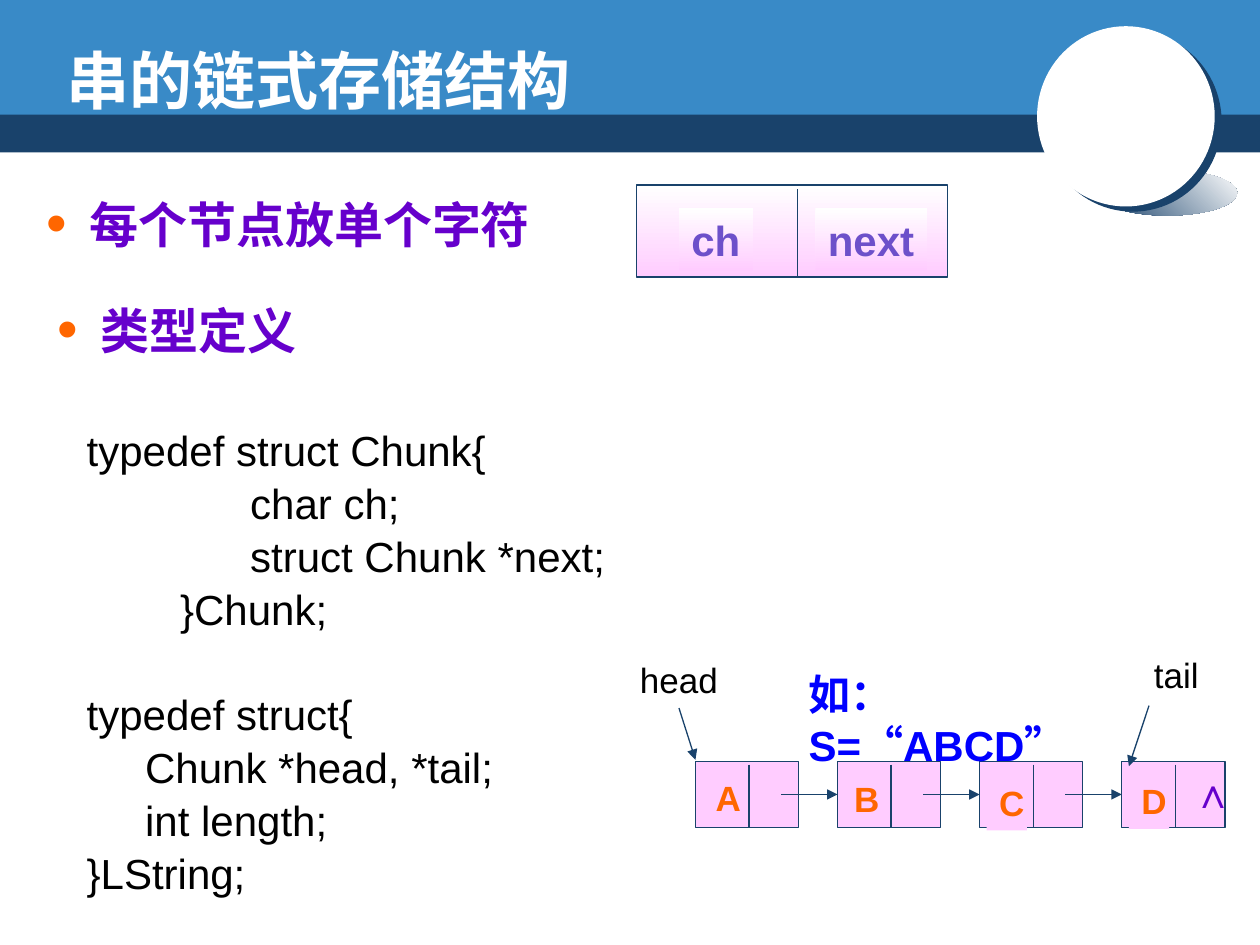
from lxml.etree import SubElement
from pptx import Presentation
from pptx.dml.color import RGBColor
from pptx.enum.shapes import MSO_CONNECTOR, MSO_SHAPE
from pptx.enum.text import MSO_ANCHOR, MSO_AUTO_SIZE, PP_ALIGN
from pptx.oxml.ns import qn
from pptx.util import Pt

# Content
TITLE = "串的链式存储结构"
POINTS = [("每个节点放单个字符", 24.6), ("类型定义", 31)]  # text, left margin
CODE = [  # text, indent, space before
    ("typedef struct Chunk{", 0, 0),
    ("char ch;", 93.4, 0),
    ("struct Chunk *next;", 93.4, 0),
    ("}Chunk;", 53.4, 0),
    ("typedef struct{", 0, 30),
    ("Chunk *head, *tail;", 33.4, 0),
    ("int length;", 33.4, 0),
    ("}LString;", 0, 0),
]
FIELDS = [("ch", 388, 42.5), ("next", 466, 64)]  # name, left, width
LETTERS = [("A", 401.8, 440), ("B", 481, 440.6), ("C", 563.8, 442.8), ("D", 645.1, 442)]
ENDS = [  # label, its box, arrow from, arrow to
    ("head", (358.6, 373, 59.8, 31.7), (388, 404.6), (397.4, 434.2)),
    ("tail", (652.3, 370, 40.3, 31.7), (656.6, 403.2), (645.1, 437.8)),
]
EXAMPLE = "如：\vS=“ABCD”"

NAVY, BLUE, PINK, WHITE = "19426B", "398AC7", "FFCCFF", "FFFFFF"
ORANGE, PURPLE = "FF6600", "6600CC"
NODE_LEFT, NODE_TOP, NODE_STEP = 397.4, 435, 81.2
NODE_WIDTH, NODE_HEIGHT = 59, 38


def color(hex_code):
    return RGBColor.from_string(hex_code)


def write(shape, text, size=24, ink="000000", font="Arial", bold=False, wrap=True,
          spacing=None):
    """Fill a shape with text; a list gives one paragraph per item."""
    frame = shape.text_frame
    frame.word_wrap = wrap
    frame.auto_size = MSO_AUTO_SIZE.NONE
    frame.vertical_anchor = MSO_ANCHOR.TOP
    for i, line in enumerate([text] if isinstance(text, str) else text):
        paragraph = frame.paragraphs[0] if i == 0 else frame.add_paragraph()
        paragraph.text = line
        paragraph.alignment = PP_ALIGN.LEFT
        paragraph.space_before = Pt(0)
        if spacing:
            paragraph.line_spacing = spacing
        for run in paragraph.runs:
            run.font.size, run.font.name, run.font.bold = Pt(size), font, bold
            run.font.color.rgb = color(ink)
    return frame.paragraphs


def place(shape, *box):
    shape.left, shape.top, shape.width, shape.height = map(Pt, box)


def add_block(box, fill, outline=False, kind=MSO_SHAPE.RECTANGLE, angle=0):
    """Add a shape; a pair of colours makes a gradient."""
    block = slide.shapes.add_shape(kind, *map(Pt, box))
    block.shadow.inherit = False
    if isinstance(fill, str):
        block.fill.solid()
        block.fill.fore_color.rgb = color(fill)
    else:
        block.fill.gradient()
        block.fill.gradient_angle = angle
        for stop, shade, position in zip(block.fill.gradient_stops, fill, (0, 1)):
            stop.color.rgb, stop.position = color(shade), position
    if outline:
        block.line.color.rgb, block.line.width = color(NAVY), Pt(0.75)
    else:
        block.line.fill.background()
    return block


def add_line(start, end, arrow=False):
    line = slide.shapes.add_connector(MSO_CONNECTOR.STRAIGHT, *map(Pt, start + end))
    line.line.color.rgb, line.line.width = color(NAVY), Pt(0.75)
    if arrow:
        SubElement(line.line._get_or_add_ln(), qn("a:tailEnd"), type="triangle")
    SubElement(line._element.spPr, qn("a:effectLst"))
    return line


def add_label(box, text, **style):
    write(slide.shapes.add_textbox(*map(Pt, box)), text, **style)


deck = Presentation()
deck.slide_width, deck.slide_height = Pt(720), Pt(540)
slide = deck.slides.add_slide(deck.slide_layouts[1])
title, points = slide.placeholders

# Header bands and disc
add_block((0, 62.6, 720, 24.5), NAVY)
add_block((0, 0, 720, 65.5), BLUE)
add_block((627, 97.2, 80, 26), (NAVY, WHITE), kind=MSO_SHAPE.OVAL, angle=45)
disc = add_block((592.6, 15, 101.5, 103), WHITE, kind=MSO_SHAPE.OVAL)
disc_shadow = SubElement(disc._element.spPr.find(qn("a:effectLst")), qn("a:outerShdw"),
                         dist=str(Pt(5)), dir=str(37 * 60000), algn="ctr", rotWithShape="0")
SubElement(disc_shadow, qn("a:srgbClr"), val=NAVY)

# Title, raised above the bands
place(title, 31, 20.2, 306.7, 51)
write(title, TITLE, size=36, ink=WHITE, font="Times New Roman", bold=True)
slide.shapes._spTree.append(title._element)

# Bulleted points
place(points, 19.4, 107.3, 330, 102)
for paragraph, (_, margin) in zip(
        write(points, [text for text, _ in POINTS], size=28, ink=PURPLE, bold=True), POINTS):
    properties = paragraph._p.get_or_add_pPr()
    properties.set("marL", str(Pt(margin)))
    properties.set("indent", str(-Pt(24.6)))
    bullet_color = SubElement(properties, qn("a:buClr"))
    SubElement(bullet_color, qn("a:srgbClr"), val=ORANGE)
    SubElement(properties, qn("a:buSzPct"), val="120000")
    SubElement(properties, qn("a:buFont"), typeface="Arial")
    SubElement(properties, qn("a:buChar"), char="•")
points.text_frame.paragraphs[1].space_before = Pt(27)

# Node layout: two fields
add_block((363.6, 105.8, 177.8, 52.6), (WHITE, PINK), outline=True, angle=270)
add_line((455.8, 108), (455.8, 158.4))
for field, left, width in FIELDS:
    write(add_block((left, 118.8, width, 36), (WHITE, PINK), angle=270), field,
          ink="6D50CA", bold=True, wrap=False)

# Linked list
nodes = []
for i, (letter, letter_left, letter_top) in enumerate(LETTERS):
    left = NODE_LEFT + i * NODE_STEP
    nodes.append(add_block((left, NODE_TOP, NODE_WIDTH, NODE_HEIGHT), PINK, outline=True))
    add_line((left + 30.6, NODE_TOP + 2), (left + 30.6, NODE_TOP + NODE_HEIGHT))
    write(add_block((letter_left, letter_top, 23, 31.7), PINK), letter,
          size=20, ink=ORANGE, bold=True)
middle = NODE_TOP + NODE_HEIGHT / 2
for i, following in enumerate(nodes[1:]):
    left = NODE_LEFT + i * NODE_STEP
    pointer = add_line((left + 49, middle), (left + NODE_STEP, middle), arrow=True)
    pointer.end_connect(following, 1)
add_label((674.6, 434.2, 20.9, 28), "∧", ink=PURPLE, bold=True)

# Example string, head and tail
add_label((455, 378.7, 188, 36), EXAMPLE, ink="0000FF", bold=True)
for label, box, start, end in ENDS:
    add_label(box, label, size=20, wrap=False)
    add_line(start, end, arrow=True)

# Type definitions
listing = slide.shapes.add_textbox(Pt(42.5), Pt(237.6), Pt(360), Pt(282))
for paragraph, (_, indent, before) in zip(
        write(listing, [text for text, _, _ in CODE], spacing=1.05), CODE):
    paragraph._p.get_or_add_pPr().set("marL", str(Pt(indent)))
    paragraph.space_before = Pt(before)

deck.save("out.pptx")
